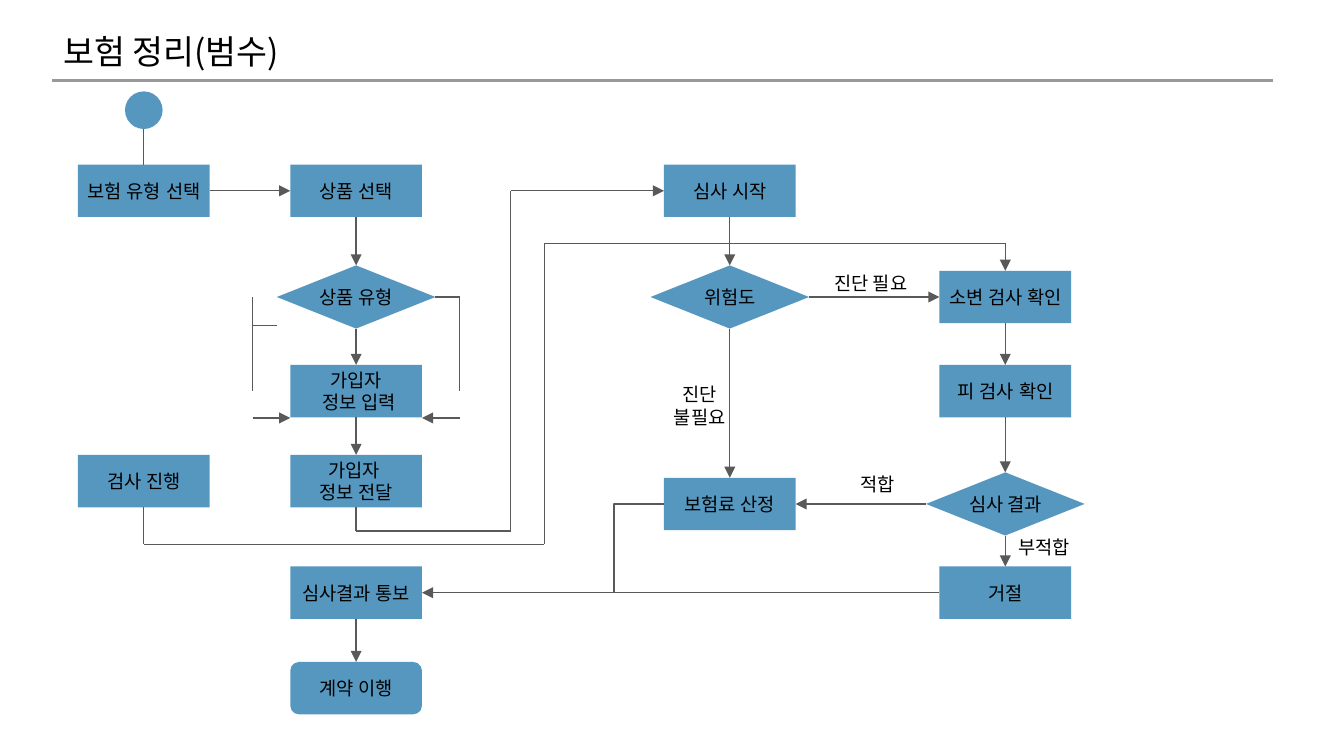
from lxml import etree
from pptx import Presentation
from pptx import util as u
from pptx.dml.color import RGBColor
from pptx.enum import shapes, text
from pptx.oxml.ns import qn

BLUE = RGBColor(0x56, 0x97, 0xBF)
BLACK = RGBColor(0, 0, 0)
DARK_GREY = RGBColor(0x59, 0x59, 0x59)
LIGHT_GREY = RGBColor(0x99, 0x99, 0x99)
LATIN, KOREAN = "Arial", "Noto Sans CJK KR"
TOP, LEFT, BOTTOM, RIGHT = range(4)

# Centres of the flow chart's columns and rows, in inches
APPLY, PRODUCT, REVIEW, EXAM = 1.07, 2.65, 5.43, 7.48
START, TYPE, INPUT, SEND, RESULT, NOTICE, CONTRACT = 1.42, 2.21, 2.91, 3.58, 3.75, 4.41, 5.12
SIZES = {"RECTANGLE": (0.98, 0.39), "ROUNDED_RECTANGLE": (0.98, 0.39),
         "FLOWCHART_DECISION": (1.18, 0.47), "OVAL": (0.28, 0.28)}

presentation = Presentation()
presentation.slide_width, presentation.slide_height = u.Inches(10), u.Inches(10 * 9 / 16)
slide = presentation.slides.add_slide(presentation.slide_layouts[5])


def write(shape, words, size, font, align, inset, anchor):
    frame = shape.text_frame
    frame.text = words
    frame.word_wrap = True
    frame.auto_size = text.MSO_AUTO_SIZE.NONE
    frame.vertical_anchor = anchor
    frame.margin_left = frame.margin_right = u.Inches(inset)
    frame.margin_top = frame.margin_bottom = u.Inches(inset)
    for paragraph in frame.paragraphs:
        paragraph.alignment = align
        for run in paragraph.runs:
            run.font.size, run.font.name = u.Pt(size), font
            run.font.color.rgb = BLACK
            east_asian = etree.SubElement(run._r.get_or_add_rPr(), qn("a:ea"))
            east_asian.set("typeface", font)


def connect(start, finish, arrow=True, color=DARK_GREY, width=0.75):
    """Draw a line between two ends, each an (x, y) point or a (box name, side) pair."""
    points = [(0, 0) if isinstance(end[0], str) else end for end in (start, finish)]
    line = slide.shapes.add_connector(
        shapes.MSO_CONNECTOR.STRAIGHT, *(u.Inches(value) for point in points for value in point))
    if isinstance(start[0], str):
        line.begin_connect(boxes[start[0]], start[1])
    if isinstance(finish[0], str):
        line.end_connect(boxes[finish[0]], finish[1])
    line.line.color.rgb, line.line.width = color, u.Pt(width)
    if arrow:
        etree.SubElement(line.line._get_or_add_ln(), qn("a:tailEnd")).set("type", "triangle")
    etree.SubElement(line._element.spPr, qn("a:effectLst"))
    return line


title = slide.shapes.title
title.left, title.top, title.width, title.height = map(u.Inches, (0.37, 0.13, 2.27, 0.38))
write(title, "보험 정리(범수)", 18, KOREAN, text.PP_ALIGN.LEFT, 0.1, text.MSO_ANCHOR.TOP)
connect((0.39, 0.6), (9.47, 0.6), False, LIGHT_GREY, 1.5)

boxes = {}
for name, kind, x, y, words, font in [
    ("start", "OVAL", APPLY, 0.82, "", LATIN),
    ("insurance", "RECTANGLE", APPLY, START, "보험 유형 선택", LATIN),
    ("product", "RECTANGLE", PRODUCT, START, "상품 선택", LATIN),
    ("product type", "FLOWCHART_DECISION", PRODUCT, TYPE, "상품 유형", KOREAN),
    ("input", "RECTANGLE", PRODUCT, INPUT, "가입자\n 정보 입력", LATIN),
    ("send", "RECTANGLE", PRODUCT, SEND, "가입자 \n정보 전달", LATIN),
    ("review", "RECTANGLE", REVIEW, START, "심사 시작", LATIN),
    ("risk", "FLOWCHART_DECISION", REVIEW, TYPE, "위험도", KOREAN),
    ("examination", "RECTANGLE", APPLY, SEND, "검사 진행", LATIN),
    ("premium", "RECTANGLE", REVIEW, RESULT, "보험료 산정", LATIN),
    ("urine", "RECTANGLE", EXAM, TYPE, "소변 검사 확인", LATIN),
    ("blood", "RECTANGLE", EXAM, INPUT, "피 검사 확인", LATIN),
    ("result", "FLOWCHART_DECISION", EXAM, RESULT, "심사 결과", KOREAN),
    ("refusal", "RECTANGLE", EXAM, NOTICE, "거절", LATIN),
    ("notice", "RECTANGLE", PRODUCT, NOTICE, "심사결과 통보", LATIN),
    ("contract", "ROUNDED_RECTANGLE", PRODUCT, CONTRACT, "계약 이행", KOREAN),
]:
    width, height = SIZES[kind]
    shape = slide.shapes.add_shape(
        getattr(shapes.MSO_SHAPE, kind),
        *map(u.Inches, (x - width / 2, y - height / 2, width, height)))
    shape.shadow.inherit = False
    shape.fill.solid()
    shape.fill.fore_color.rgb = BLUE
    shape.line.fill.background()
    if words:
        write(shape, words, 10, font, text.PP_ALIGN.CENTER, 0.01, text.MSO_ANCHOR.MIDDLE)
    boxes[name] = shape

for first, side, second, other_side in [
    ("insurance", RIGHT, "product", LEFT),
    ("product", BOTTOM, "product type", TOP),
    ("product type", BOTTOM, "input", TOP),
    ("input", BOTTOM, "send", TOP),
    ("review", BOTTOM, "risk", TOP),
    ("risk", BOTTOM, "premium", TOP),
    ("risk", RIGHT, "urine", LEFT),
    ("urine", BOTTOM, "blood", TOP),
    ("blood", BOTTOM, "result", TOP),
    ("result", LEFT, "premium", RIGHT),
    ("result", BOTTOM, "refusal", TOP),
    ("refusal", LEFT, "notice", RIGHT),
    ("notice", BOTTOM, "contract", TOP),
]:
    connect((first, side), (second, other_side))

# Routes of several segments; only the last segment may carry an arrowhead
for route, arrow in [
    ([(APPLY, 0.96), ("insurance", TOP)], False),
    ([("send", BOTTOM), (PRODUCT, 3.95), (3.8, 3.95), (3.8, START), ("review", LEFT)], True),
    ([("examination", BOTTOM), (APPLY, 4.05), (4.05, 4.05), (4.05, 1.81), (EXAM, 1.81),
      ("urine", TOP)], True),
    ([("product type", RIGHT), (3.42, TYPE), (3.42, INPUT)], False),
    ([(3.42, 3.11), (3.14, 3.11)], True),
    ([(2.06, 2.42), (1.88, 2.42)], False),
    ([(1.88, TYPE), (1.88, INPUT)], False),
    ([(1.88, 3.11), (2.16, 3.11)], True),
]:
    for index, (begin, end) in enumerate(zip(route, route[1:])):
        connect(begin, end, arrow and index == len(route) - 2)

elbow = connect(("premium", LEFT), (4.57, NOTICE), False)
elbow._element.spPr.find(qn("a:prstGeom")).set("prst", "bentConnector2")

for words, x, y, width, height, align in [
    ("적합", 6.4, 3.52, 0.28, 0.18, text.PP_ALIGN.LEFT),
    ("부적합", 7.58, 3.99, 0.45, 0.18, text.PP_ALIGN.LEFT),
    ("진단 필요", 6.15, 2.02, 0.66, 0.18, text.PP_ALIGN.CENTER),
    ("진단\v불필요", 4.98, 2.85, 0.45, 0.36, text.PP_ALIGN.CENTER),
]:
    label = slide.shapes.add_textbox(*map(u.Inches, (x, y, width, height)))
    write(label, words, 10, KOREAN, align, 0, text.MSO_ANCHOR.TOP)

presentation.save("out.pptx")
